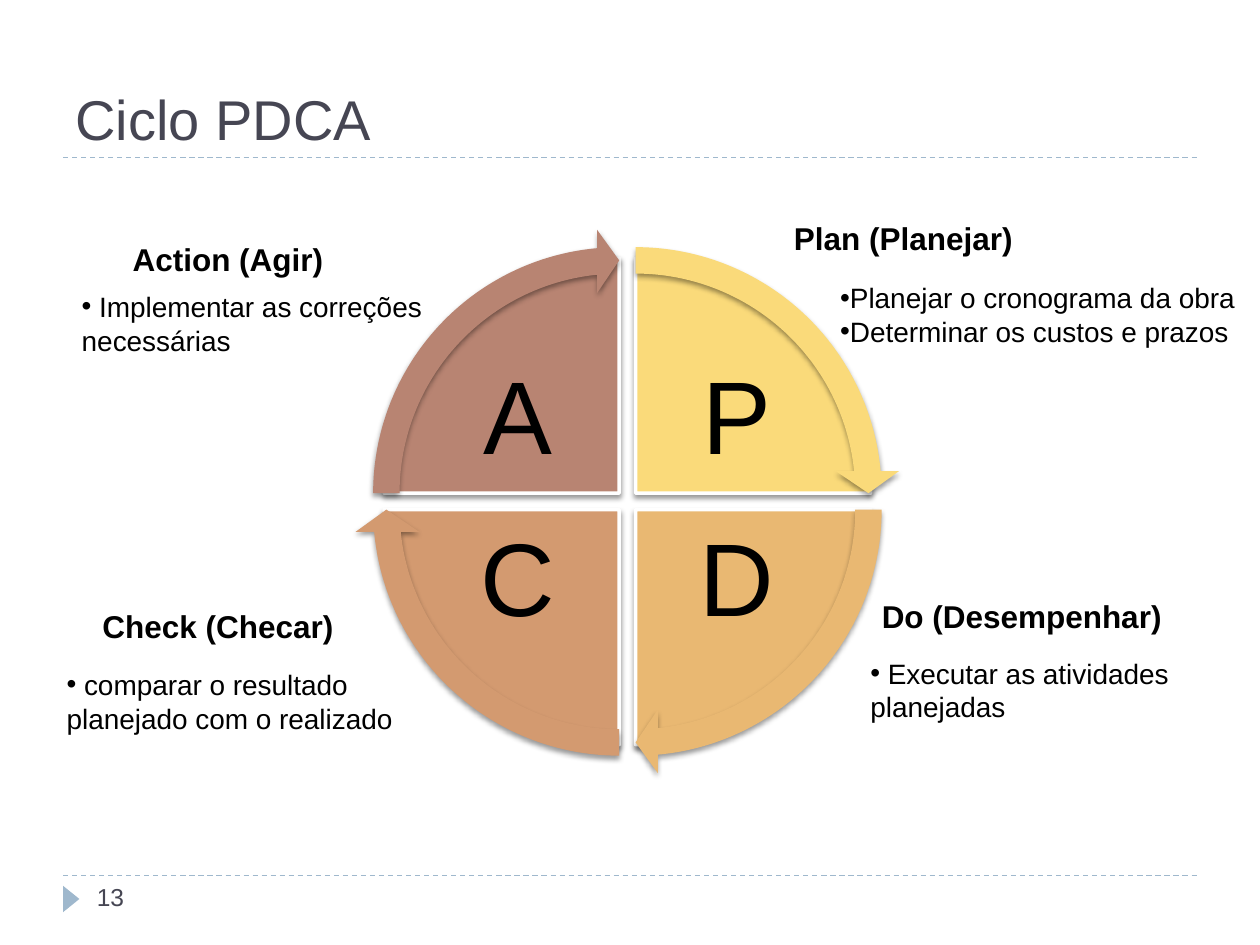
from dataclasses import dataclass

from lxml.etree import SubElement
from pptx import Presentation
from pptx.dml.color import RGBColor
from pptx.enum.dml import MSO_LINE
from pptx.enum.shapes import MSO_CONNECTOR, MSO_SHAPE
from pptx.enum.text import MSO_ANCHOR, PP_ALIGN
from pptx.oxml.ns import qn
from pptx.util import Inches, Pt


@dataclass(frozen=True)
class Theme:
    font: str = "Arial"
    ink: str = "000000"
    title: str = "464653"
    accent: str = "9FB8CD"
    white: str = "FFFFFF"
    plan: str = "FADA7A"
    do: str = "E9B872"
    check: str = "D39A70"
    action: str = "B88472"
    title_size: int = 32
    letter_size: int = 59
    heading_size: int = 18
    body_size: int = 16
    number_size: int = 14


theme = Theme()
prs = Presentation()
prs.slide_width, prs.slide_height = Inches(10), Inches(7.5)
s = prs.slides.add_slide(prs.slide_layouts[6])


def add_text(box, lines, size, color=theme.ink, bold=False, align=PP_ALIGN.LEFT,
             anchor=MSO_ANCHOR.TOP, bullet=False):
    tf = s.shapes.add_textbox(*map(Inches, box)).text_frame
    tf.word_wrap = True
    tf.vertical_anchor = anchor
    for i, line in enumerate(lines):
        p = tf.add_paragraph() if i else tf.paragraphs[0]
        p.alignment = align
        if bullet:
            pPr = p._p.get_or_add_pPr()
            SubElement(pPr, qn("a:buFont"), typeface=theme.font)
            SubElement(pPr, qn("a:buChar"), char="•")
        r = p.add_run()
        r.text = line
        r.font.name, r.font.size, r.font.bold = theme.font, Pt(size), bold
        r.font.color.rgb = RGBColor.from_string(color)
    return tf


def add_shape(kind, box, color, adjustments, shadow=True):
    sp = s.shapes.add_shape(kind, *map(Inches, box))
    for i, value in enumerate(adjustments):
        sp.adjustments[i] = value
    sp.fill.solid()
    sp.fill.fore_color.rgb = RGBColor.from_string(color)
    sp.line.fill.background()
    sp.shadow.inherit = False
    if shadow:
        effects = sp._element.spPr.find(qn("a:effectLst"))
        outer = SubElement(effects, qn("a:outerShdw"), blurRad=str(Pt(3)),
                           dist=str(Pt(2)), dir="5400000", rotWithShape="0")
        black = SubElement(outer, qn("a:srgbClr"), val=theme.ink)
        SubElement(black, qn("a:alpha"), val="40000")
    return sp


# Dashed rules and footer marker
for y in (6.95, 1.25):
    rule = s.shapes.add_connector(MSO_CONNECTOR.STRAIGHT, Inches(0.5), Inches(y),
                                  Inches(9.5), Inches(y))
    rule.line.color.rgb = RGBColor.from_string(theme.accent)
    rule.line.width = Pt(0.75)
    rule.line.dash_style = MSO_LINE.DASH
    SubElement(rule._element.spPr, qn("a:effectLst"))
marker = add_shape(MSO_SHAPE.ISOSCELES_TRIANGLE, (0.46, 7.07, 0.21, 0.13),
                   theme.accent, [0.5], shadow=False)
marker.rotation = 90

# Title
add_text((0.5, 0.17, 9, 1.08), ["Ciclo PDCA"], theme.title_size, theme.title,
         anchor=MSO_ANCHOR.BOTTOM)

# Cycle quarters, clockwise from the top: letter, colour, column, row
quarters = [
    ("P", theme.plan, 1, 0),
    ("D", theme.do, 1, 1),
    ("C", theme.check, 0, 1),
    ("A", theme.action, 0, 0),
]
# Angles as adjustment values: a full turn is 216, a quarter is 54
TURN, QUARTER, HEAD = 216, 54, 3.28
LEFT, TOP, GAP = 3.05, 2.05, 0.13
PIE, ARROW = 3.73, 4.2
arrows = []
for i, (letter, color, col, row) in enumerate(quarters):
    start = (162 + QUARTER * i) % TURN
    end = (start + QUARTER) % TURN
    x, y = LEFT + GAP * col, TOP + GAP * row
    pie = add_shape(MSO_SHAPE.PIE, (x, y, PIE, PIE), color, [start, end])
    pie.line.color.rgb = RGBColor.from_string(theme.white)
    pie.line.width = Pt(2)
    tf = add_text((3.42 + 1.74 * col, 2.83 + 1.29 * row, 1.38, 1.02), [letter],
                  theme.letter_size, align=PP_ALIGN.CENTER, anchor=MSO_ANCHOR.MIDDLE)
    tf.margin_left = tf.margin_right = tf.margin_top = tf.margin_bottom = Inches(0.08)
    tf.paragraphs[0].line_spacing = 0.9
    inset = (ARROW - PIE) / 2
    arrows.append(((x - inset, y - inset, ARROW, ARROW), color,
                   [0.05, HEAD, start + QUARTER - HEAD, start, 0.06]))

# Arrows lie above all the quarters
for box, color, adjustments in arrows:
    add_shape(MSO_SHAPE.CIRCULAR_ARROW, box, color, adjustments)

# Step descriptions: heading and its place, bullets and their box
steps = [
    ("Do (Desempenhar)", 6.81, 4.69,
     [" Executar as atividades planejadas"], (6.81, 5.16, 2.76, 0.64)),
    ("Check (Checar)", 0.43, 4.77,
     [" comparar o resultado planejado com o realizado"], (0.43, 5.25, 3.31, 0.64)),
    ("Action (Agir)", 0.51, 1.86,
     [" Implementar as correções necessárias"], (0.55, 2.25, 3.35, 0.64)),
    ("Plan (Planejar)", 5.87, 1.69,
     ["Planejar o cronograma da obra", "Determinar os custos e prazos"],
     (6.57, 2.18, 3.35, 0.64)),
]
for heading, x, y, bullets, box in steps:
    add_text((x, y, 2.6, 0.4), [heading], theme.heading_size, bold=True,
             align=PP_ALIGN.CENTER)
    add_text(box, bullets, theme.body_size, bullet=True)

# Page number
add_text((0.67, 6.95, 2.17, 0.4), ["13"], theme.number_size, theme.title)

prs.save("out.pptx")
